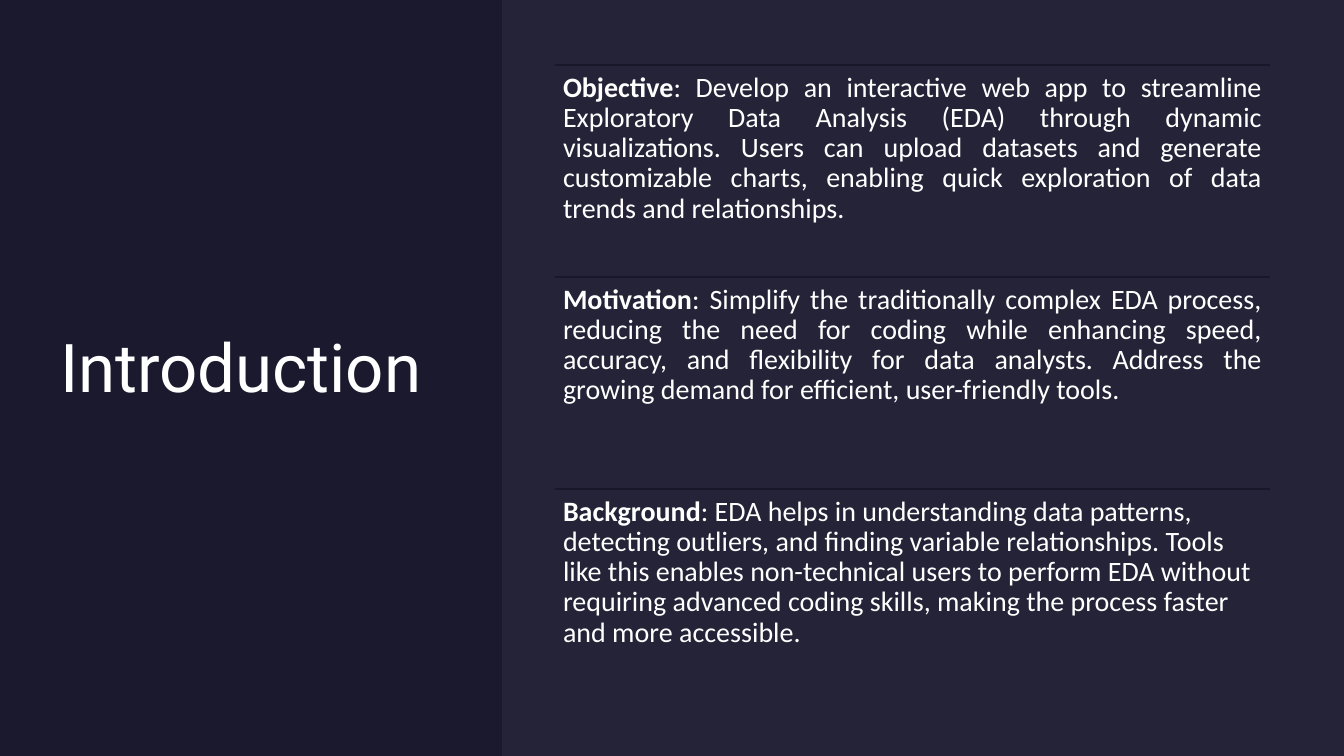
import pptx
import pptx.util
import pptx.dml.color
import pptx.enum.shapes
import pptx.enum.text
from lxml import etree

TITLE = "Introduction"
JUSTIFY = pptx.enum.text.PP_ALIGN.JUSTIFY
LEFT = pptx.enum.text.PP_ALIGN.LEFT
SECTIONS = [
    ("Objective", ": Develop an interactive web app to streamline Exploratory Data Analysis (EDA) "
     "through dynamic visualizations. Users can upload datasets and generate customizable charts, "
     "enabling quick exploration of data trends and relationships.", JUSTIFY),
    ("Motivation", ": Simplify the traditionally complex EDA process, reducing the need for coding "
     "while enhancing speed, accuracy, and flexibility for data analysts. Address the growing "
     "demand for efficient, user-friendly tools.", JUSTIFY),
    ("Background", ": EDA helps in understanding data patterns, detecting outliers, and finding "
     "variable relationships. Tools like this enables non-technical users to perform EDA without "
     "requiring advanced coding skills, making the process faster and more accessible.", LEFT),
]
NAVY, PANEL, RULE, WHITE = "1B192E", "E4E3F0", "19172A", "FFFFFF"
SLIDE_W, SLIDE_H = 1344, 756
PANEL_X = 502
SECTION_X, SECTION_Y, SECTION_W, SECTION_H = 555, 65, 715, 212
A = "http://schemas.openxmlformats.org/drawingml/2006/main"


def px(n):
    return pptx.util.Emu(round(n * 12192000 / SLIDE_W))


def rgb(value):
    return pptx.dml.color.RGBColor.from_string(value)


def add_panel(x, width, color, opacity=100):
    """Add a full-height rectangle; opacity is in percent."""
    s = slide.shapes.add_shape(pptx.enum.shapes.MSO_SHAPE.RECTANGLE,
                               px(x), 0, px(width), px(SLIDE_H))
    s.shadow.inherit = False
    s.line.fill.background()
    s.fill.solid()
    s.fill.fore_color.rgb = rgb(color)
    if opacity < 100:
        clr = s.fill._xPr.find(f".//{{{A}}}srgbClr")
        etree.SubElement(clr, f"{{{A}}}alpha", val=str(opacity * 1000))


def add_text(x, y, width, height, inset, anchor):
    tf = slide.shapes.add_textbox(px(x), px(y), px(width), px(height)).text_frame
    tf.word_wrap = True
    tf.vertical_anchor = anchor
    tf.margin_left = tf.margin_right = tf.margin_top = tf.margin_bottom = px(inset)
    return tf.paragraphs[0]


def add_run(p, text, font, size, bold=False):
    r = p.add_run()
    r.text = text
    r.font.name, r.font.size, r.font.bold = font, pptx.util.Pt(size), bold
    r.font.color.rgb = rgb(WHITE)


def add_rule(y):
    s = slide.shapes.add_connector(pptx.enum.shapes.MSO_CONNECTOR.STRAIGHT, px(SECTION_X), px(y),
                                   px(SECTION_X + SECTION_W), px(y))
    s.line.color.rgb = rgb(RULE)
    s.line.width = pptx.util.Pt(1)
    etree.SubElement(s._element.spPr, f"{{{A}}}effectLst")


prs = pptx.Presentation()
prs.slide_width, prs.slide_height = px(SLIDE_W), px(SLIDE_H)
slide = prs.slides.add_slide(prs.slide_layouts[6])
slide.background.fill.solid()
slide.background.fill.fore_color.rgb = rgb(NAVY)

add_panel(0, SLIDE_W, NAVY)
p = add_text(60, 60, 393, 611, 0, pptx.enum.text.MSO_ANCHOR.MIDDLE)
add_run(p, TITLE, "Roboto", 48)
add_panel(PANEL_X, SLIDE_W - PANEL_X, PANEL, opacity=5)

for i, (label, body, align) in enumerate(SECTIONS):
    y = SECTION_Y + i * SECTION_H
    add_rule(y)
    p = add_text(SECTION_X, y, SECTION_W, SECTION_H, 8, pptx.enum.text.MSO_ANCHOR.TOP)
    p.alignment, p.line_spacing = align, 0.9
    add_run(p, label, "Calibri", 20, bold=True)
    add_run(p, body, "Calibri", 20)

prs.save("out.pptx")
